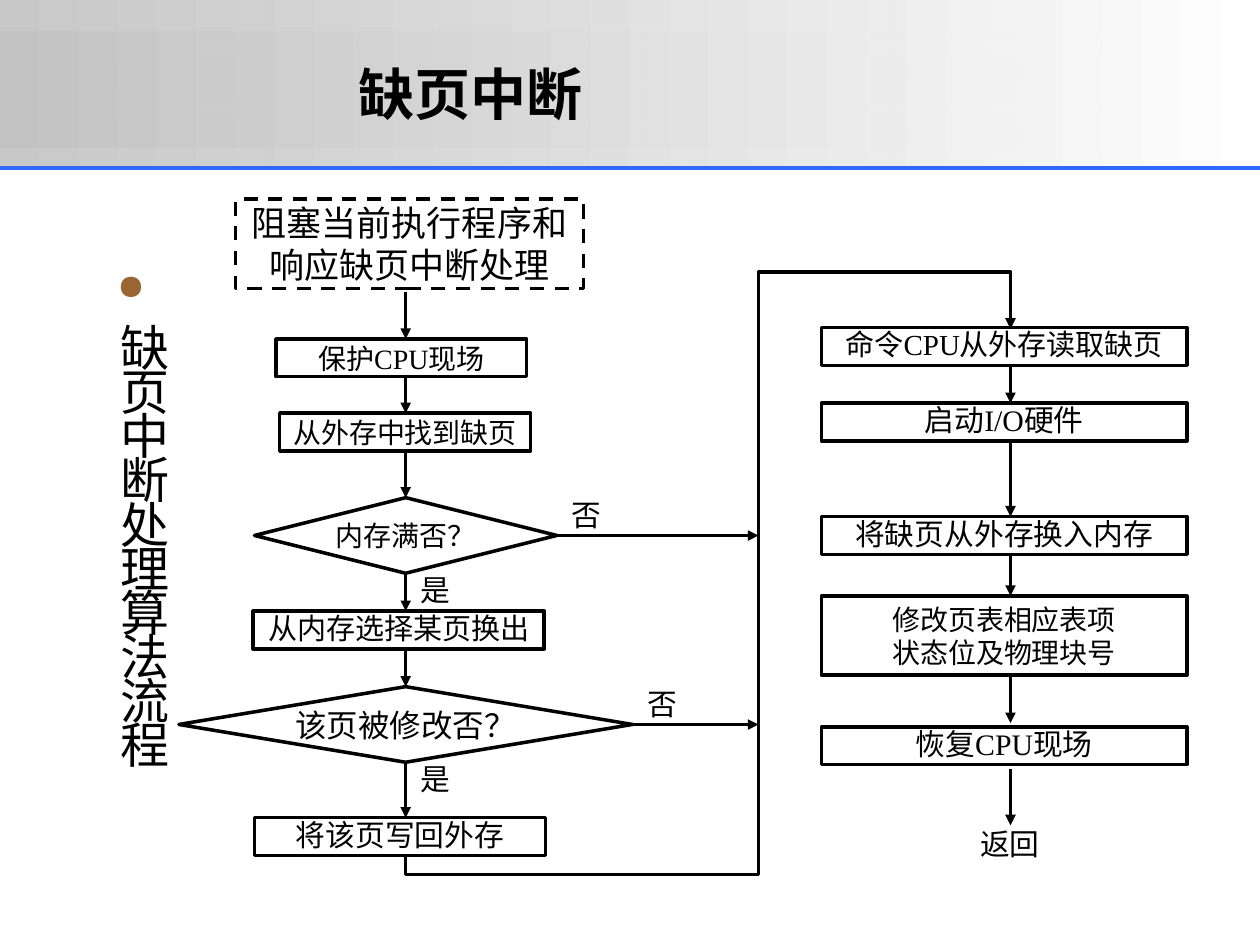
import pptx
import pptx.util
import pptx.dml.color
import pptx.enum.dml
import pptx.enum.shapes
import pptx.enum.text
import pptx.oxml.ns
from dataclasses import dataclass
from lxml import etree

Inches = pptx.util.Inches
Pt = pptx.util.Pt
SHAPES = pptx.enum.shapes.MSO_SHAPE
ALIGN = pptx.enum.text.PP_ALIGN
qn = pptx.oxml.ns.qn


@dataclass(frozen=True)
class Theme:
    ink: str = "000000"
    rule: str = "3366FF"
    band: str = "C0C0C0"
    paper: str = "FFFFFF"
    bullet: str = "996633"
    heading_font: str = "Arial"
    flow_font: str = "Times New Roman"
    heading_size: float = 32
    break_size: int = 40
    side_size: float = 28
    start_size: float = 20
    decision_size: float = 18
    step_size: float = 17
    tight_size: float = 16.6
    small_size: float = 16
    stroke: float = 2
    rule_stroke: float = 2.25


def rgb(value):
    return pptx.dml.color.RGBColor.from_string(value)


def add_node(parent, tag, **attributes):
    return etree.SubElement(parent, qn(tag), attributes)


class FlowSlide:
    def __init__(self, deck, theme):
        self.theme = theme
        self.slide = deck.slides.add_slide(deck.slide_layouts[5])
        self.shapes = self.slide.shapes

    def stroke(self, line, color=None, width=None):
        line.color.rgb = rgb(color or self.theme.ink)
        line.width = Pt(width or self.theme.stroke)

    def arrowhead(self, shape):
        add_node(shape._element.spPr.find(qn("a:ln")), "a:tailEnd", type="triangle")

    def band(self, top, height, opacity):
        """Full-width strip fading from grey to white; opacity is in percent."""
        strip = self.shapes.add_shape(SHAPES.RECTANGLE, 0, Inches(top), Inches(10), Inches(height))
        strip.shadow.inherit = False
        strip.line.fill.background()
        strip.fill.gradient()
        strip.fill.gradient_angle = 0
        for stop, color in zip(strip.fill.gradient_stops, (self.theme.band, self.theme.paper)):
            stop.color.rgb = rgb(color)
        first_color = next(strip._element.spPr.iter(qn("a:srgbClr")))
        add_node(first_color, "a:alpha", val=str(opacity * 1000))

    def line(self, start, end, color=None, width=None, arrow=True):
        points = [Inches(value) for value in (*start, *end)]
        connector = self.shapes.add_connector(pptx.enum.shapes.MSO_CONNECTOR.STRAIGHT, *points)
        self.stroke(connector.line, color, width)
        if arrow:
            self.arrowhead(connector)
        add_node(connector._element.spPr, "a:effectLst")

    def elbow(self, points):
        """Open arrow line through the given points."""
        corners = [(Inches(x), Inches(y)) for x, y in points]
        builder = self.shapes.build_freeform(*corners[0], scale=1.0)
        builder.add_line_segments(corners[1:], close=False)
        route = builder.convert_to_shape()
        route.shadow.inherit = False
        route.fill.background()
        self.stroke(route.line)
        self.arrowhead(route)

    def set_text(self, box, text, size, spacing):
        frame = box.text_frame
        frame.word_wrap = True
        frame.vertical_anchor = pptx.enum.text.MSO_ANCHOR.MIDDLE
        frame.margin_left = frame.margin_right = frame.margin_top = frame.margin_bottom = 0
        frame.text = text
        for para in frame.paragraphs:
            para.alignment = ALIGN.CENTER
            para.line_spacing = spacing
            for span in para.runs:
                span.font.size = Pt(size)
                span.font.name = self.theme.flow_font
                span.font.color.rgb = rgb(self.theme.ink)

    def step(self, text, place, size, spacing=0.9, kind=SHAPES.RECTANGLE, dashed=False):
        box = self.shapes.add_shape(kind, *map(Inches, place))
        box.shadow.inherit = False
        box.fill.background()
        self.stroke(box.line)
        if dashed:
            box.line.dash_style = pptx.enum.dml.MSO_LINE.DASH
        self.set_text(box, text, size, spacing)

    def label(self, text, left, top, width=0.31):
        box = self.shapes.add_textbox(*map(Inches, (left, top, width, 0.3)))
        self.set_text(box, text, self.theme.step_size, 0.9)

    def heading(self, text):
        box = self.shapes.add_textbox(*map(Inches, (2.75, 0.42, 1.98, 0.64)))
        box.text_frame.word_wrap = False
        box.text_frame.text = text
        font = box.text_frame.paragraphs[0].runs[0].font
        font.size, font.name, font.bold = Pt(self.theme.heading_size), self.theme.heading_font, True
        font.color.rgb = rgb(self.theme.ink)

    def side_title(self, text):
        """Bulleted title in a column one character wide, below an empty bullet line."""
        title = self.shapes.title
        title.left, title.top, title.width, title.height = map(Inches, (0.75, 1.42, 0.58, 5.42))
        frame = title.text_frame
        frame.word_wrap = True
        frame.auto_size = pptx.enum.text.MSO_AUTO_SIZE.NONE
        frame.vertical_anchor = pptx.enum.text.MSO_ANCHOR.MIDDLE
        frame.margin_left = frame.margin_right = Inches(0.02)
        frame.margin_top = frame.margin_bottom = Inches(0.01)
        para = frame.paragraphs[0]
        para.text = "\v" + text
        para.alignment = ALIGN.CENTER
        para.line_spacing = 0.75
        properties = para._p.get_or_add_pPr()
        properties.set("marL", str(Inches(0.22)))
        properties.set("indent", str(-Inches(0.22)))
        add_node(add_node(properties, "a:buClr"), "a:srgbClr", val=self.theme.bullet)
        add_node(properties, "a:buSzPct", val="50000")
        add_node(properties, "a:buChar", char="●")
        line_break = para._p.find(qn("a:br"))
        add_node(line_break, "a:rPr", sz=str(self.theme.break_size * 100))
        font = para.runs[0].font
        font.size, font.name = Pt(self.theme.side_size), self.theme.heading_font
        font.color.rgb = rgb(self.theme.ink)


def main():
    deck = pptx.Presentation()
    deck.slide_width, deck.slide_height = Inches(10), Inches(7.5)
    theme = Theme()
    page = FlowSlide(deck, theme)

    page.band(0, 1.33, 86)
    page.band(0.25, 0.92, 59)
    page.line((0, 1.33), (10, 1.33), theme.rule, theme.rule_stroke, arrow=False)
    page.side_title("缺页中断处理算法流程")
    page.heading("缺页中断")

    left_axis, bus, right_axis = 3.22, 6.02, 8.02
    page.step("阻塞当前执行程序和响应缺页中断处理", (1.87, 1.58, 2.76, 0.71),
              theme.start_size, 1, dashed=True)
    page.step("保护CPU现场", (2.19, 2.69, 1.99, 0.3), theme.small_size, 1)
    page.step("从外存中找到缺页", (2.22, 3.28, 1.99, 0.3), theme.small_size, 1)
    page.step("从内存选择某页换出", (2.01, 4.85, 2.31, 0.3), theme.tight_size)
    page.step("将该页写回外存", (2.02, 6.49, 2.31, 0.3), theme.step_size)

    decisions = [("内存满否？", 3.95, 2.4, theme.small_size),
                 ("该页被修改否？", 5.45, 3.6, theme.decision_size)]
    for text, top, width, size in decisions:
        page.step(text, (left_axis - width / 2, top, width, 0.6), size, 1,
                  SHAPES.FLOWCHART_DECISION)
        right = left_axis + width / 2
        page.line((right, top + 0.3), (bus, top + 0.3))
        page.label("否", right + 0.08, top)
        page.label("是", left_axis + 0.08, top + 0.6)

    right_steps = [("命令CPU从外存读取缺页", 2.6, theme.tight_size),
                   ("启动I/O硬件", 3.2, theme.step_size),
                   ("将缺页从外存换入内存", 4.1, theme.step_size),
                   ("恢复CPU现场", 5.77, theme.step_size)]
    for text, top, size in right_steps:
        page.step(text, (6.52, top, 2.9, 0.3), size)
    page.step("修改页表相应表项\n状态位及物理块号", (6.52, 4.73, 2.9, 0.63), theme.small_size, 1)
    page.label("返回", 7.7, 6.56, 0.63)

    arrows = {
        left_axis: [(2.32, 2.69), (2.98, 3.28), (3.58, 3.95), (4.55, 4.85), (5.15, 5.45), (6.05, 6.49)],
        right_axis: [(2.9, 3.2), (3.5, 4.1), (4.4, 4.73), (5.36, 5.74), (6.1, 6.55)],
    }
    for axis, spans in arrows.items():
        for start, end in spans:
            page.line((axis, start), (axis, end))
    page.elbow([(left_axis, 6.79), (left_axis, 6.94), (bus, 6.94),
                (bus, 2.16), (right_axis, 2.16), (right_axis, 2.61)])

    deck.save("out.pptx")


if __name__ == "__main__":
    main()
